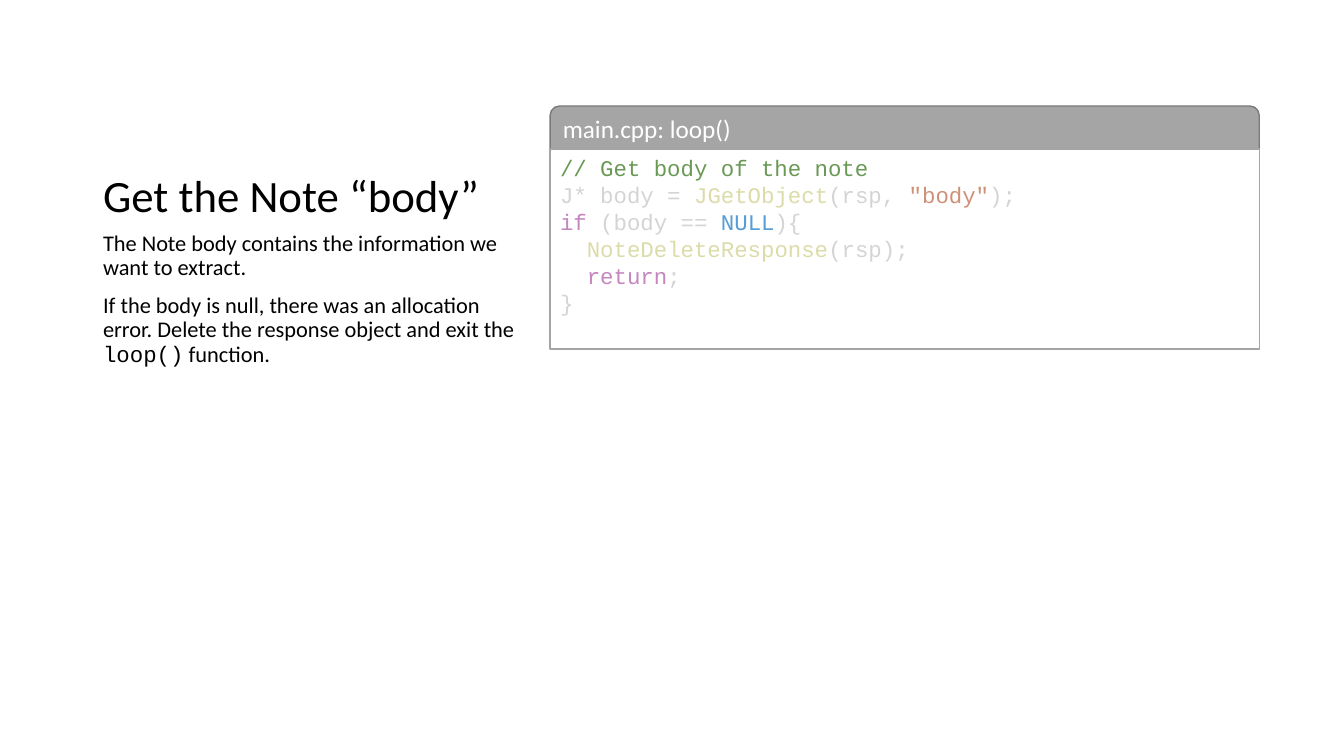
from lxml import etree
from pptx import Presentation
from pptx import util as u
from pptx.dml.color import RGBColor
from pptx.enum import shapes, text
from pptx.oxml.ns import qn

PX_PER_INCH = 100.8
BODY_FONT = "Calibri"
CODE_FONT = "Courier New"

BLACK = RGBColor(0x00, 0x00, 0x00)
WHITE = RGBColor(0xFF, 0xFF, 0xFF)
GRAY = RGBColor(0xA5, 0xA5, 0xA5)
DARK_GRAY = RGBColor(0x7A, 0x7A, 0x7A)
COMMENT = RGBColor(0x6A, 0x99, 0x55)
PLAIN = RGBColor(0xD4, 0xD4, 0xD4)
FUNCTION = RGBColor(0xDC, 0xDC, 0xAA)
STRING = RGBColor(0xCE, 0x91, 0x78)
KEYWORD = RGBColor(0xC5, 0x86, 0xC0)
CONSTANT = RGBColor(0x56, 0x9C, 0xD6)

EXPLANATION = [
    [("The Note body contains the information we want to extract.", BODY_FONT)],
    [("If the body is null, there was an allocation error. "
      "Delete the response object and exit the ", BODY_FONT),
     ("loop()", CODE_FONT),
     (" function.", BODY_FONT)],
]

CODE = [
    [("// Get body of the note", COMMENT)],
    [("J* body = ", PLAIN), ("JGetObject", FUNCTION), ("(rsp, ", PLAIN),
     ('"body"', STRING), (");", PLAIN)],
    [("if", KEYWORD), (" (body == ", PLAIN), ("NULL", CONSTANT), ("){", PLAIN)],
    [("  ", PLAIN), ("NoteDeleteResponse", FUNCTION), ("(rsp);", PLAIN)],
    [("  ", PLAIN), ("return", KEYWORD), (";", PLAIN)],
    [("}", PLAIN)],
]


def px(length):
    return u.Inches(length / PX_PER_INCH)


def place(shape, left, top, width, height):
    shape.left, shape.top = px(left), px(top)
    shape.width, shape.height = px(width), px(height)


def set_font(font, name, size, color):
    font.name, font.size = name, u.Pt(size)
    font.color.rgb = color


def paragraphs(frame, count):
    """Yield count paragraphs, the first being the one the frame already has."""
    for index in range(count):
        yield frame.add_paragraph() if index else frame.paragraphs[0]


def remove_bullet(paragraph):
    properties = paragraph._p.get_or_add_pPr()
    properties.set("marL", "0")
    properties.set("indent", "0")
    etree.SubElement(properties, qn("a:buNone"))


def fill_title(title):
    place(title, 93, 50, 433, 177)
    frame = title.text_frame
    frame.text = "Get the Note “body”"
    frame.auto_size = text.MSO_AUTO_SIZE.NONE
    frame.vertical_anchor = text.MSO_ANCHOR.BOTTOM
    paragraph = frame.paragraphs[0]
    paragraph.alignment = text.PP_ALIGN.LEFT
    paragraph.line_spacing = 0.9
    set_font(paragraph.font, BODY_FONT, 32, BLACK)


def fill_body(body):
    place(body, 93, 227, 433, 420)
    frame = body.text_frame
    frame.auto_size = text.MSO_AUTO_SIZE.NONE
    frame.vertical_anchor = text.MSO_ANCHOR.TOP
    for paragraph, pieces in zip(paragraphs(frame, len(EXPLANATION)), EXPLANATION):
        paragraph.line_spacing = 0.9
        paragraph.space_before = u.Pt(10)
        remove_bullet(paragraph)
        set_font(paragraph.font, BODY_FONT, 16, BLACK)
        for wording, font_name in pieces:
            run = paragraph.add_run()
            run.text = wording
            set_font(run.font, font_name, 16, BLACK)


def add_panel(group, preset, top, height, fill, line):
    panel = group.shapes.add_shape(preset, px(550), px(top), px(709), px(height))
    panel.shadow.inherit = False
    panel.fill.solid()
    panel.fill.fore_color.rgb = fill
    panel.line.color.rgb = line
    panel.line.width = u.Pt(1)
    panel.text_frame.word_wrap = True
    panel.text_frame.vertical_anchor = text.MSO_ANCHOR.TOP
    return panel


def add_code_header(group):
    header = add_panel(group, shapes.MSO_SHAPE.ROUNDED_RECTANGLE, 106, 57,
                       GRAY, DARK_GRAY)
    header.text_frame.text = "main.cpp: loop()"
    paragraph = header.text_frame.paragraphs[0]
    paragraph.alignment = text.PP_ALIGN.LEFT
    set_font(paragraph.font, BODY_FONT, 18, WHITE)


def add_code_listing(group):
    listing = add_panel(group, shapes.MSO_SHAPE.RECTANGLE, 149, 200, WHITE, GRAY)
    for paragraph, tokens in zip(paragraphs(listing.text_frame, len(CODE)), CODE):
        paragraph.alignment = text.PP_ALIGN.LEFT
        paragraph.line_spacing = u.Pt(19.3)
        for wording, color in tokens:
            run = paragraph.add_run()
            run.text = wording
            set_font(run.font, CODE_FONT, 16, color)


def main():
    presentation = Presentation()
    presentation.slide_width = u.Inches(13.33)
    presentation.slide_height = u.Inches(7.5)
    slide = presentation.slides.add_slide(presentation.slide_layouts[1])
    fill_title(slide.shapes.title)
    fill_body(slide.placeholders[1])
    code_group = slide.shapes.add_group_shape()
    add_code_header(code_group)
    add_code_listing(code_group)
    presentation.save("out.pptx")


if __name__ == "__main__":
    main()
